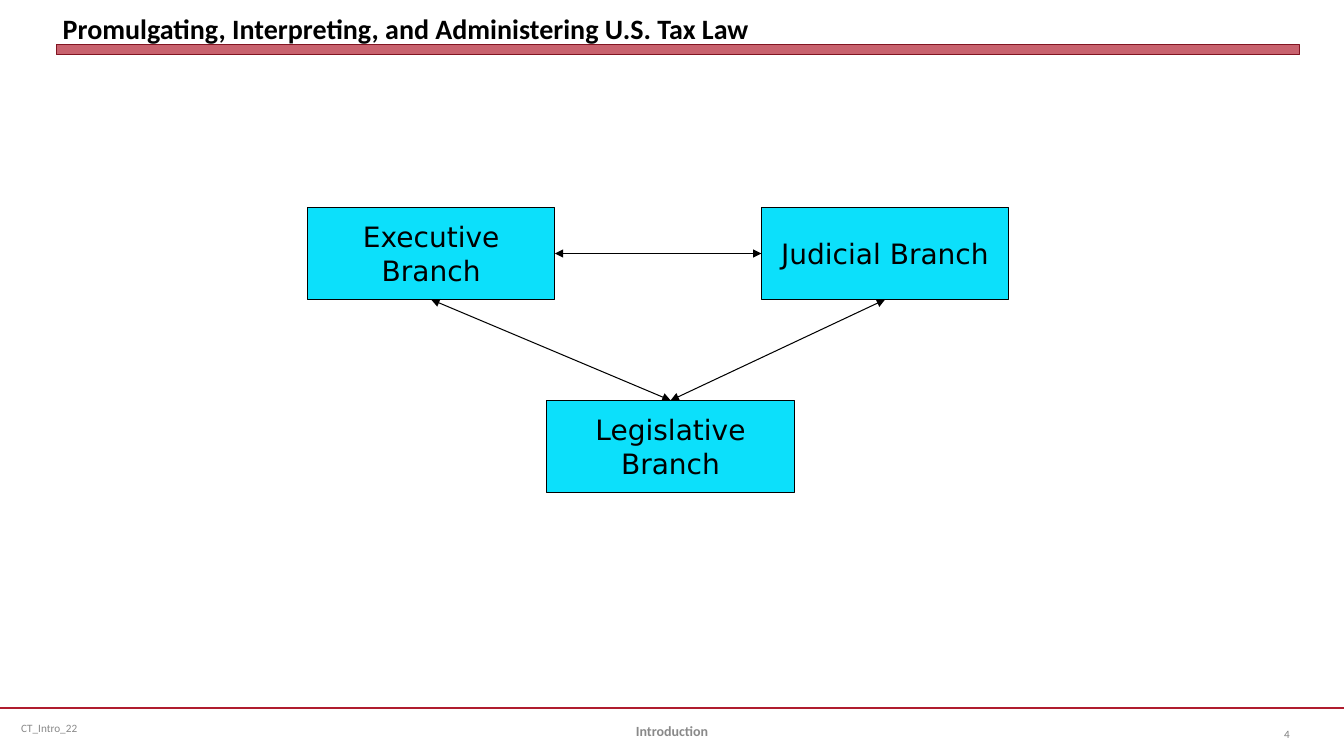
from lxml import etree
from pptx import Presentation
from pptx.dml.color import RGBColor
from pptx.enum.shapes import MSO_CONNECTOR, MSO_SHAPE
from pptx.enum.text import MSO_ANCHOR as Anchor, MSO_AUTO_SIZE as AutoSize, PP_ALIGN as Align
from pptx.oxml.ns import qn
from pptx.util import Pt

WIDTH, HEIGHT = 960, 540
BLACK = RGBColor(0x00, 0x00, 0x00)
CRIMSON = RGBColor(0xB0, 0x1C, 0x2E)
DARK_RED = RGBColor(0x82, 0x15, 0x22)
CYAN = RGBColor(0x0C, 0xE0, 0xFB)
GRAY = RGBColor(0x89, 0x89, 0x89)
NUMBER_GRAY = RGBColor(0x80, 0x80, 0x80)
TOP, LEFT, BOTTOM, RIGHT = range(4)


def write_text(shape, text, size, color=BLACK, font="Calibri", bold=False,
               align=Align.LEFT, anchor=Anchor.MIDDLE, insets=(7.2, 3.6, 7.2, 3.6)):
    frame = shape.text_frame
    frame.auto_size = AutoSize.NONE
    frame.word_wrap = True
    frame.vertical_anchor = anchor
    (frame.margin_left, frame.margin_top,
     frame.margin_right, frame.margin_bottom) = map(Pt, insets)
    paragraph = frame.paragraphs[0]
    paragraph.alignment = align
    run = paragraph.add_run()
    run.text = text
    run.font.name, run.font.size, run.font.bold = font, Pt(size), bold
    run.font.color.rgb = color


def add_box(slide, box, fill, line, line_width):
    shape = slide.shapes.add_shape(MSO_SHAPE.RECTANGLE, *map(Pt, box))
    shape.shadow.inherit = False
    shape.fill.solid()
    shape.fill.fore_color.rgb = fill
    shape.line.color.rgb = line
    shape.line.width = Pt(line_width)
    return shape


def add_line(slide, start, end, color, width):
    line = slide.shapes.add_connector(MSO_CONNECTOR.STRAIGHT, *map(Pt, start + end))
    line.line.color.rgb = color
    line.line.width = Pt(width)
    etree.SubElement(line._element.spPr, qn("a:effectLst"))
    return line


def join_boxes(slide, first, first_side, second, second_side):
    connector = add_line(slide, (0, 0), (0, 0), BLACK, 0.75)
    connector.begin_connect(first, first_side)
    connector.end_connect(second, second_side)
    outline = connector.line._get_or_add_ln()
    for arrow_end in ("a:headEnd", "a:tailEnd"):
        etree.SubElement(outline, qn(arrow_end), type="triangle")


def add_header(slide, left, top, width, height):
    # Translucent bar below the title
    bar = add_box(slide, (left, top + height, width, 7.2), CRIMSON, DARK_RED, 0)
    color = bar.fill._xPr.find(qn("a:solidFill"))[0]
    etree.SubElement(color, qn("a:alpha"), val="69000")
    # Title
    title = slide.shapes.title
    title.left, title.top, title.width, title.height = map(Pt, (left, top, width, height))
    write_text(title, "Promulgating, Interpreting, and Administering U.S. Tax Law", 20,
               bold=True, anchor=Anchor.BOTTOM, insets=(4.5, 0, 0, 0))


def add_branches(slide, left, top, width, height):
    box_width, box_height = 176.6, 65.8
    right_column = left + width - box_width
    lower_row = top + height - box_height
    # Branches of government
    places = {
        "Executive Branch": (left, top),
        "Judicial Branch": (right_column, top),
        "Legislative Branch": (left + 171, lower_row),
    }
    branches = []
    for name, place in places.items():
        branch = add_box(slide, (*place, box_width, box_height), CYAN, BLACK, 0.75)
        write_text(branch, name, 20, font="DejaVu Sans", align=Align.CENTER)
        branches.append(branch)
    # Two-way arrows
    executive, judicial, legislative = branches
    join_boxes(slide, executive, BOTTOM, legislative, TOP)
    join_boxes(slide, judicial, BOTTOM, legislative, TOP)
    join_boxes(slide, executive, RIGHT, judicial, LEFT)


def add_footer(slide, left, top, width):
    add_line(slide, (left, top), (left + width, top), CRIMSON, 1.25)
    # Offset from the left, offset from the rule, width, text, format
    entries = [
        (8, 0, 248, "CT_Intro_22", dict(size=8, color=GRAY)),
        (328, 2.2, 304, "Introduction",
         dict(size=10, color=GRAY, bold=True, align=Align.CENTER)),
        (880.5, 4.3, 48, "4", dict(size=8, color=NUMBER_GRAY, align=Align.RIGHT)),
    ]
    for x, y, text_width, text, style in entries:
        box = slide.shapes.add_textbox(Pt(left + x), Pt(top + y), Pt(text_width), Pt(28.8))
        write_text(box, text, **style)


def main():
    presentation = Presentation()
    presentation.slide_width, presentation.slide_height = Pt(WIDTH), Pt(HEIGHT)
    slide = presentation.slides.add_slide(presentation.slide_layouts[5])
    add_header(slide, 40.3, 3.2, 888, 28.8)
    add_branches(slide, 219.7, 148.2, 500.8, 203.6)
    add_footer(slide, 0, 505.5, WIDTH)
    presentation.save("out.pptx")


if __name__ == "__main__":
    main()
